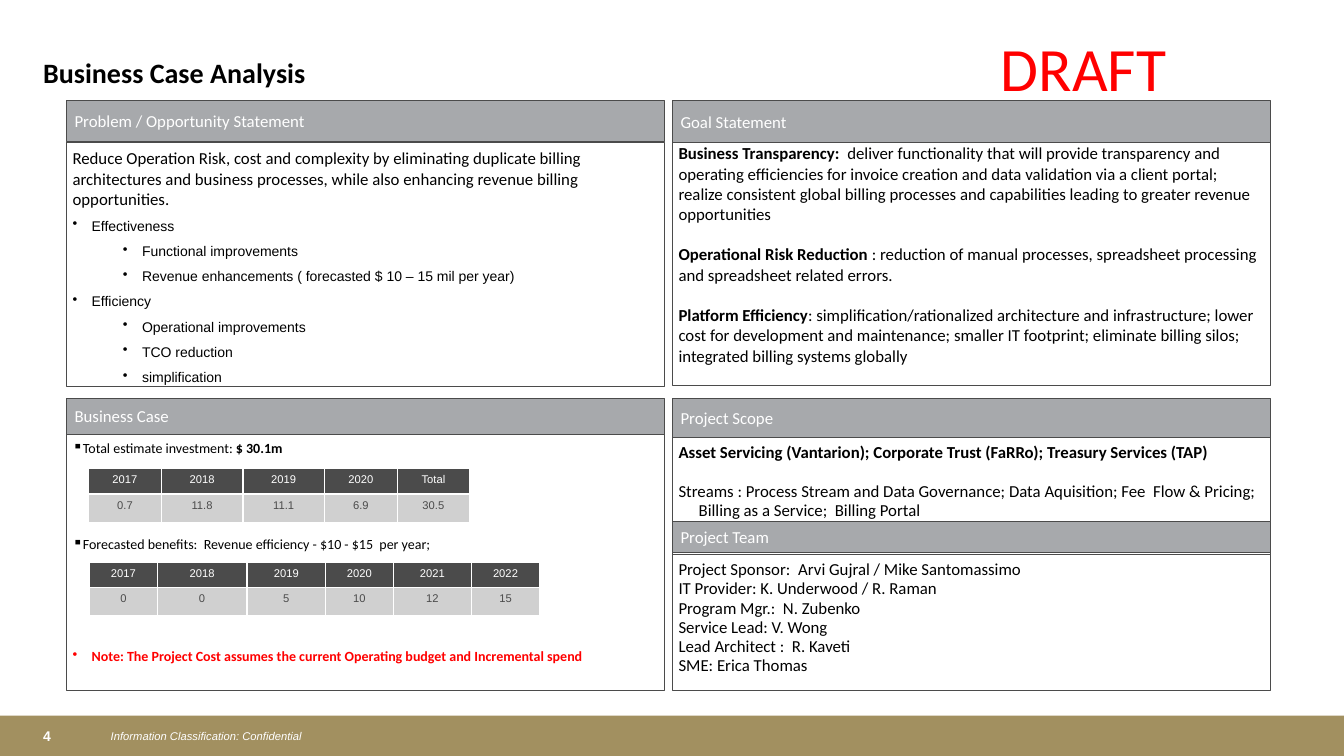
from lxml import etree
from pptx import Presentation
from pptx.dml.color import RGBColor
from pptx.enum.shapes import MSO_SHAPE
from pptx.enum.text import MSO_ANCHOR as ANCHOR, PP_ALIGN as ALIGN
from pptx.oxml.ns import qn
from pptx.util import Inches, Pt

BLACK, WHITE, RED = "000000", "FFFFFF", "FF0000"
DARK, GREY, LIGHT, GOLD = "4B4B4B", "A7A9AC", "D0D0D0", "A29060"
LEFT, RIGHT, PANEL_W = 0.66, 6.67, 5.93


def rgb(color):
    return RGBColor.from_string(color)


def add_box(x, y, w, h, fill, line=None):
    sp = s.shapes.add_shape(MSO_SHAPE.RECTANGLE, Inches(x), Inches(y), Inches(w), Inches(h))
    sp.shadow.inherit = False
    sp.fill.solid()
    sp.fill.fore_color.rgb = rgb(fill)
    if line:
        sp.line.color.rgb = rgb(line)
        sp.line.width = Pt(0.75)
    else:
        sp.line.fill.background()
    return sp


prs = Presentation()
prs.slide_width, prs.slide_height = Inches(13.33), Inches(7.5)
s = prs.slides.add_slide(prs.slide_layouts[6])

add_box(0, 7.1, 13.33, 0.4, GOLD)

labels = [
    ("4", 0.33, 7.12, 0.6, 0.38, 10, "Arial", WHITE, True, False, False, ANCHOR.MIDDLE, 0.95),
    ("Information Classification: Confidential", 1, 7.19, 9.27, 0.24, 8, "Arial", WHITE,
     False, True, True, ANCHOR.MIDDLE, 0.95),
    ("Business Case Analysis", 0.33, 0.5, 12.67, 0.5, 20, "Calibri", BLACK,
     True, False, True, ANCHOR.TOP, 1.0),
    ("DRAFT", 9.83, 0.25, 1.86, 0.84, 44, "Calibri", RED, False, False, False, ANCHOR.TOP, 1.0),
]
for text, x, y, w, h, size, font, color, bold, italic, wrap, anchor, spacing in labels:
    tf = s.shapes.add_textbox(Inches(x), Inches(y), Inches(w), Inches(h)).text_frame
    tf.word_wrap = wrap
    tf.vertical_anchor = anchor
    tf.text = text
    p = tf.paragraphs[0]
    p.line_spacing = spacing
    f = p.runs[0].font
    f.size, f.name, f.bold, f.italic = Pt(size), font, bold, italic
    f.color.rgb = rgb(color)

# style: size, font, color, left margin, indent, bullet, space before
STYLES = {
    "plain": (12, "Calibri", BLACK, 0, 0, None, 0),
    "spaced": (12, "Calibri", BLACK, 0, 0, None, 14.6),
    "bullet": (10, "Arial", BLACK, 0.19, -0.19, "•", 6),
    "subbullet": (10, "Arial", BLACK, 0.69, -0.19, "•", 6),
    "scope": (12, "Calibri", BLACK, 0.2, -0.2, None, 0),
    "streams": (12, "Calibri", BLACK, 0.2, -0.2, None, 13.9),
    "team": (12, "Calibri", BLACK, 1.15, -1.15, None, 0),
    "investment": (10, "Calibri", BLACK, 0.09, -0.09, "▪", 0),
    "benefits": (10, "Calibri", BLACK, 0.09, -0.09, "▪", 57),
    "note": (10, "Calibri", RED, 0.19, -0.19, "•", 69),
}

panels = [
    ("Problem / Opportunity Statement", LEFT, 1, 0.4, 1.41, 2.42, 1.0, [
        ("plain", "Reduce Operation Risk, cost and complexity by eliminating duplicate billing  "
                  "architectures and business processes, while also enhancing revenue billing "
                  "opportunities."),
        ("bullet", "Effectiveness"),
        ("subbullet", "Functional improvements"),
        ("subbullet", "Revenue enhancements ( forecasted $ 10 – 15 mil per year)"),
        ("bullet", "Efficiency"),
        ("subbullet", "Operational improvements"),
        ("subbullet", "TCO reduction"),
        ("subbullet", "simplification"),
    ]),
    ("Goal Statement", RIGHT, 1, 0.41, 1.36, 2.47, 1.0, [
        ("plain", "*Business Transparency:  *deliver functionality that will provide transparency "
                  "and operating efficiencies for invoice creation and data validation via a "
                  "client portal;  realize consistent global billing processes and capabilities "
                  "leading to greater revenue opportunities"),
        ("spaced", "*Operational Risk Reduction *: reduction of manual processes, spreadsheet "
                   "processing and spreadsheet related errors."),
        ("spaced", "*Platform Efficiency*: simplification/rationalized architecture and "
                   "infrastructure; lower cost for development and maintenance; smaller IT "
                   "footprint; eliminate billing silos; integrated billing systems globally"),
    ]),
    ("Project Scope", RIGHT, 3.95, 0.39, 4.34, 1.35, 0.95, [
        ("scope", "*Asset Servicing (Vantarion); Corporate Trust (FaRRo); Treasury Services (TAP)*"),
        ("streams", "Streams : Process Stream and Data Governance; Data Aquisition; "
                    "Fee  Flow & Pricing; Billing as a Service;  Billing Portal"),
    ]),
    ("Business Case", LEFT, 3.95, 0.36, 4.31, 2.54, 0.95, [
        ("investment", "Total estimate investment: *$ 30.1m*"),
        ("benefits", "Forecasted benefits:  Revenue efficiency - $10 - $15  per year;"),
        ("note", "*Note: The Project Cost assumes the current Operating budget and "
                 "Incremental spend*"),
    ]),
    ("Project Team", RIGHT, 5.17, 0.31, 5.5, 1.35, 0.95, [
        ("team", "Project Sponsor:\t Arvi Gujral / Mike Santomassimo"),
        ("team", "IT Provider: K. Underwood / R. Raman"),
        ("team", "Program Mgr.:  N. Zubenko"),
        ("team", "Service Lead: V. Wong"),
        ("team", "Lead Architect :  R. Kaveti"),
        ("team", "SME: Erica Thomas"),
    ]),
]
for heading, x, head_y, head_h, body_y, body_h, spacing, paragraphs in panels:
    tf = add_box(x, body_y, PANEL_W, body_h, WHITE, DARK).text_frame
    tf.word_wrap = True
    tf.vertical_anchor = ANCHOR.TOP
    tf.margin_left = tf.margin_top = Inches(0.06)
    tf.margin_right = tf.margin_bottom = Inches(0.04)
    for i, (style, text) in enumerate(paragraphs):
        size, font, color, margin, indent, bullet, before = STYLES[style]
        p = tf.add_paragraph() if i else tf.paragraphs[0]
        p.alignment = ALIGN.LEFT
        pPr = p._p.get_or_add_pPr()
        pPr.set("marL", str(Inches(margin)))
        pPr.set("indent", str(Inches(indent)))
        if bullet:
            etree.SubElement(pPr, qn("a:buChar")).set("char", bullet)
        p.level = 1 if style == "subbullet" else 0
        p.line_spacing = spacing
        p.space_before = Pt(before)
        for j, part in enumerate(text.split("*")):
            if part:
                r = p.add_run()
                r.text = part
                r.font.size, r.font.name, r.font.bold = Pt(size), font, j % 2 == 1
                r.font.color.rgb = rgb(color)

    tf = add_box(x, head_y, PANEL_W, head_h, GREY, DARK).text_frame
    tf.word_wrap = True
    tf.vertical_anchor = ANCHOR.MIDDLE
    tf.margin_left = Inches(0.08)
    tf.margin_top = tf.margin_right = tf.margin_bottom = 0
    tf.text = heading
    p = tf.paragraphs[0]
    p.alignment = ALIGN.LEFT
    f = p.runs[0].font
    f.size, f.name = Pt(12), "Calibri"
    f.color.rgb = rgb(WHITE)

tables = [
    (0.88, 4.65, [0.72, 0.81, 0.81, 0.72, 0.72],
     [["2017", "2018", "2019", "2020", "Total"], ["0.7", "11.8", "11.1", "6.9", "30.5"]]),
    (0.89, 5.58, [0.67, 0.89, 0.78, 0.67, 0.78, 0.67],
     [["2017", "2018", "2019", "2020", "2021", "2022"], ["0", "0", "5", "10", "12", "15"]]),
]
for x, y, widths, rows in tables:
    table = s.shapes.add_table(2, len(widths), Inches(x), Inches(y),
                               Inches(sum(widths)), Inches(0.53)).table
    for col, width in zip(table.columns, widths):
        col.width = Inches(width)
    for i, (height, fill, color) in enumerate([(0.25, DARK, WHITE), (0.28, LIGHT, DARK)]):
        table.rows[i].height = Inches(height)
        for j, value in enumerate(rows[i]):
            cell = table.cell(i, j)
            cell.margin_left = cell.margin_right = Inches(0.13)
            cell.margin_top = cell.margin_bottom = Inches(0.05)
            cell.text = value
            p = cell.text_frame.paragraphs[0]
            p.alignment = ALIGN.CENTER
            f = p.runs[0].font
            f.size, f.name, f.bold = Pt(8), "Arial", False
            f.color.rgb = rgb(color)
            tcPr = cell._tc.get_or_add_tcPr()
            for side in ("lnL", "lnR", "lnT", "lnB"):
                ln = etree.SubElement(tcPr, qn("a:" + side), w=str(Pt(1)))
                solid = etree.SubElement(ln, qn("a:solidFill"))
                etree.SubElement(solid, qn("a:srgbClr"), val=WHITE)
            cell.fill.solid()
            cell.fill.fore_color.rgb = rgb(fill)

prs.save("out.pptx")
